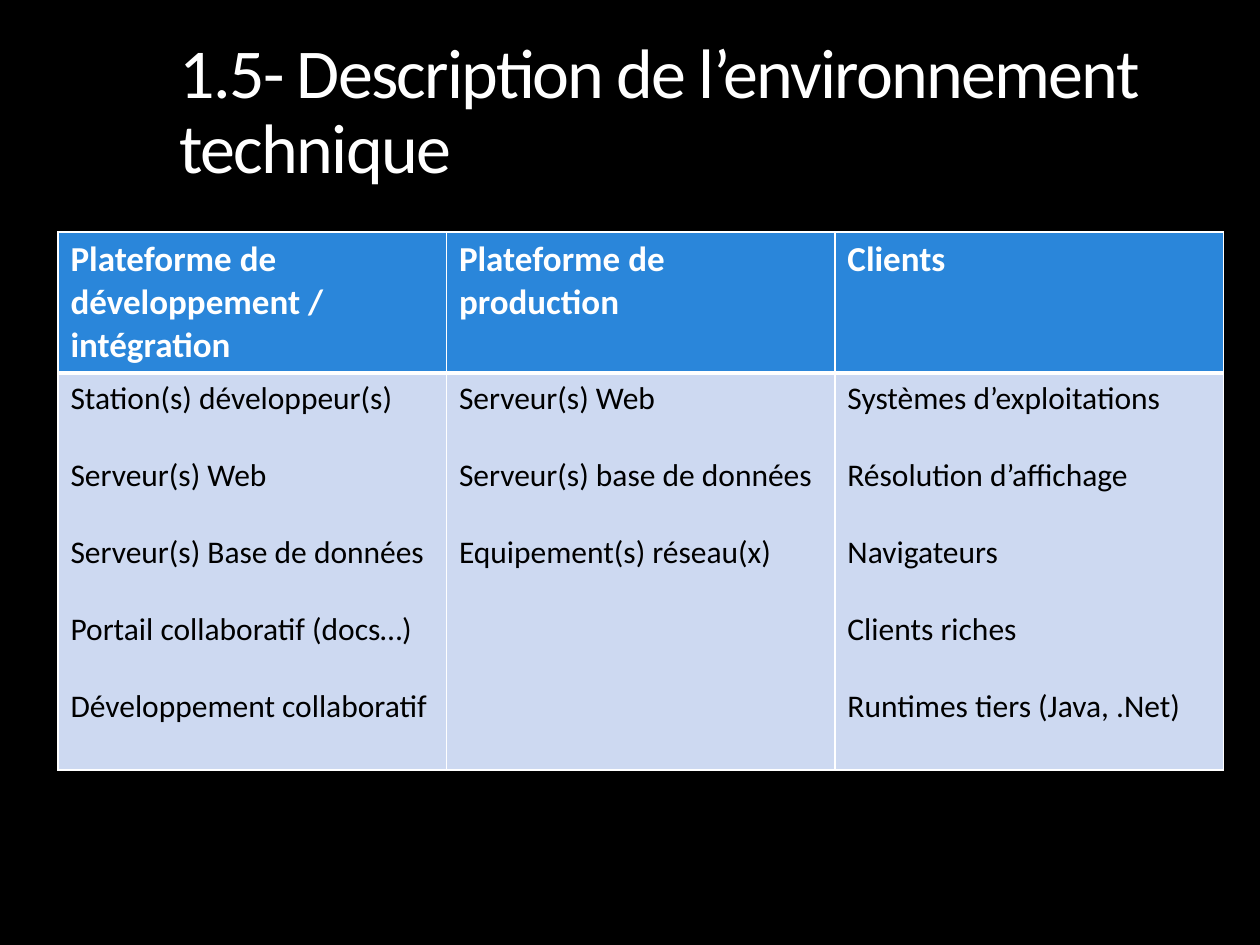
"""Build the slide describing the technical environment."""
from lxml.etree import SubElement
from pptx import Presentation
from pptx.dml.color import RGBColor as Rgb
from pptx.enum.text import MSO_ANCHOR as Anchor
from pptx.oxml.ns import qn
from pptx.util import Inches, Pt

COLOURS = {"background": "000000", "light": "FFFFFF", "dark": "000000",
           "header": "2A86DA", "body": "CDD9F1"}
FORMATS = {
    "title": {"name": "Calibri", "size": Pt(40), "bold": False},
    "header": {"name": "Calibri", "size": Pt(20), "bold": True},
    "body": {"name": "Calibri", "size": Pt(18), "bold": False},
}
PLATFORMS = {
    "Plateforme de développement / intégration": [
        "Station(s) développeur(s)", "Serveur(s) Web", "Serveur(s) Base de données",
        "Portail collaboratif (docs…)", "Développement collaboratif"],
    "Plateforme de production": [
        "Serveur(s) Web", "Serveur(s) base de données", "Equipement(s) réseau(x)"],
    "Clients": [
        "Systèmes d’exploitations", "Résolution d’affichage", "Navigateurs",
        "Clients riches", "Runtimes tiers (Java, .Net)"],
}


def write(frame, lines, role, colour):
    for index, line in enumerate(lines):
        paragraph = frame.add_paragraph() if index else frame.paragraphs[0]
        if index:
            paragraph.space_before = Pt(22)
        run = paragraph.add_run()
        run.text = line
        for attribute, value in FORMATS[role].items():
            setattr(run.font, attribute, value)
        run.font.color.rgb = Rgb.from_string(COLOURS[colour])


def style_cell(cell, role, widths):
    properties = cell._tc.get_or_add_tcPr()
    for side, width in widths.items():
        line = SubElement(properties, qn(f"a:{side}"), w=str(Pt(width)))
        SubElement(SubElement(line, qn("a:solidFill")), qn("a:srgbClr"), val=COLOURS["light"])
    cell.fill.solid()
    cell.fill.fore_color.rgb = Rgb.from_string(COLOURS[role])


deck = Presentation()
deck.slide_width, deck.slide_height = Inches(10), Inches(7.5)
slide = deck.slides.add_slide(deck.slide_layouts[6])
slide.background.fill.solid()
slide.background.fill.fore_color.rgb = Rgb.from_string(COLOURS["background"])

title = slide.shapes.add_textbox(Inches(1.33), Inches(0.25), Inches(9), Inches(1.25)).text_frame
title.word_wrap = True
title.vertical_anchor = Anchor.TOP
write(title, ["1.5- Description de l’environnement technique"], "title", "light")
title.paragraphs[0].line_spacing = 0.9
title.paragraphs[0].runs[0].font._element.set("spc", "-100")

environment = slide.shapes.add_table(
    2, len(PLATFORMS), Inches(0.46), Inches(1.84), Inches(9.25), Inches(4.27)).table
for row, height in zip(environment.rows, (1.12, 3.15)):
    row.height = Inches(height)
for column, (platform, components) in enumerate(PLATFORMS.items()):
    heading, details = environment.cell(0, column), environment.cell(1, column)
    write(heading.text_frame, [platform], "header", "light")
    write(details.text_frame, components, "body", "dark")
    style_cell(heading, "header", {"lnL": 1, "lnR": 1, "lnT": 1, "lnB": 3})
    style_cell(details, "body", {"lnL": 1, "lnR": 1, "lnT": 3, "lnB": 1})

deck.save("out.pptx")
